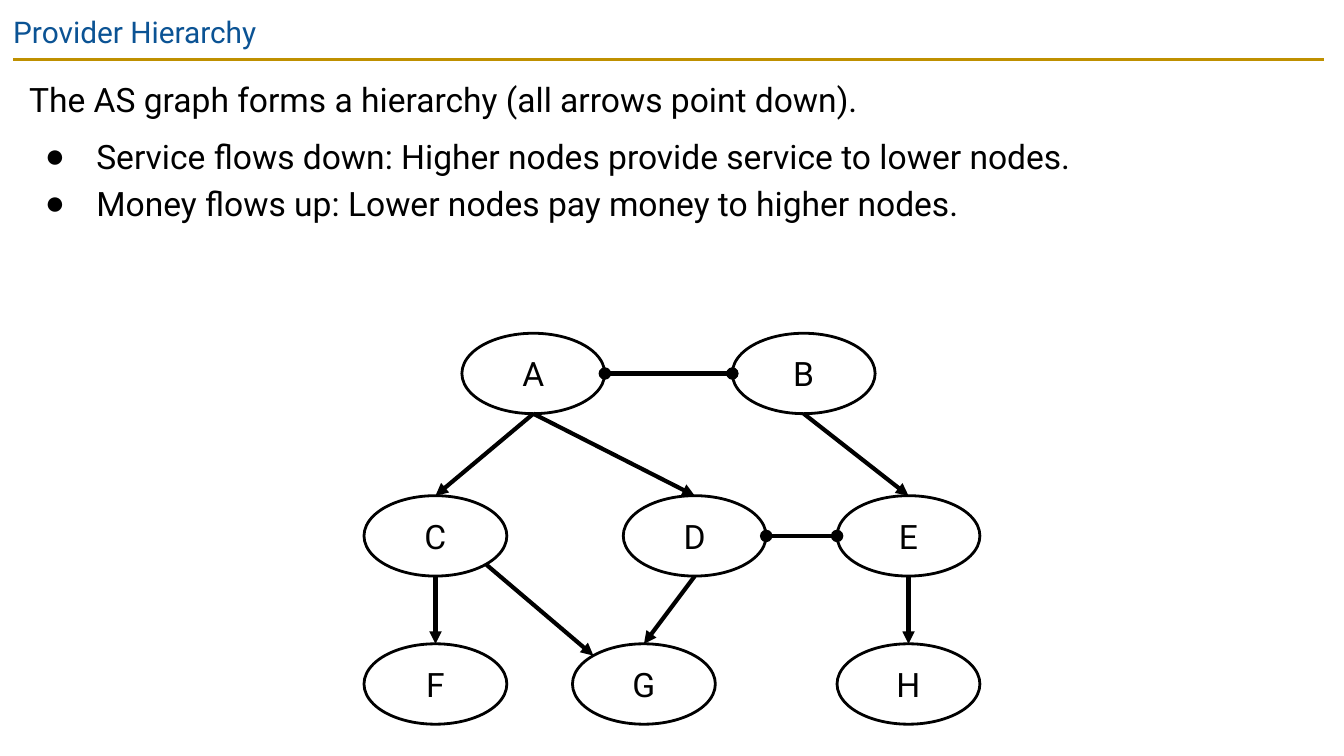
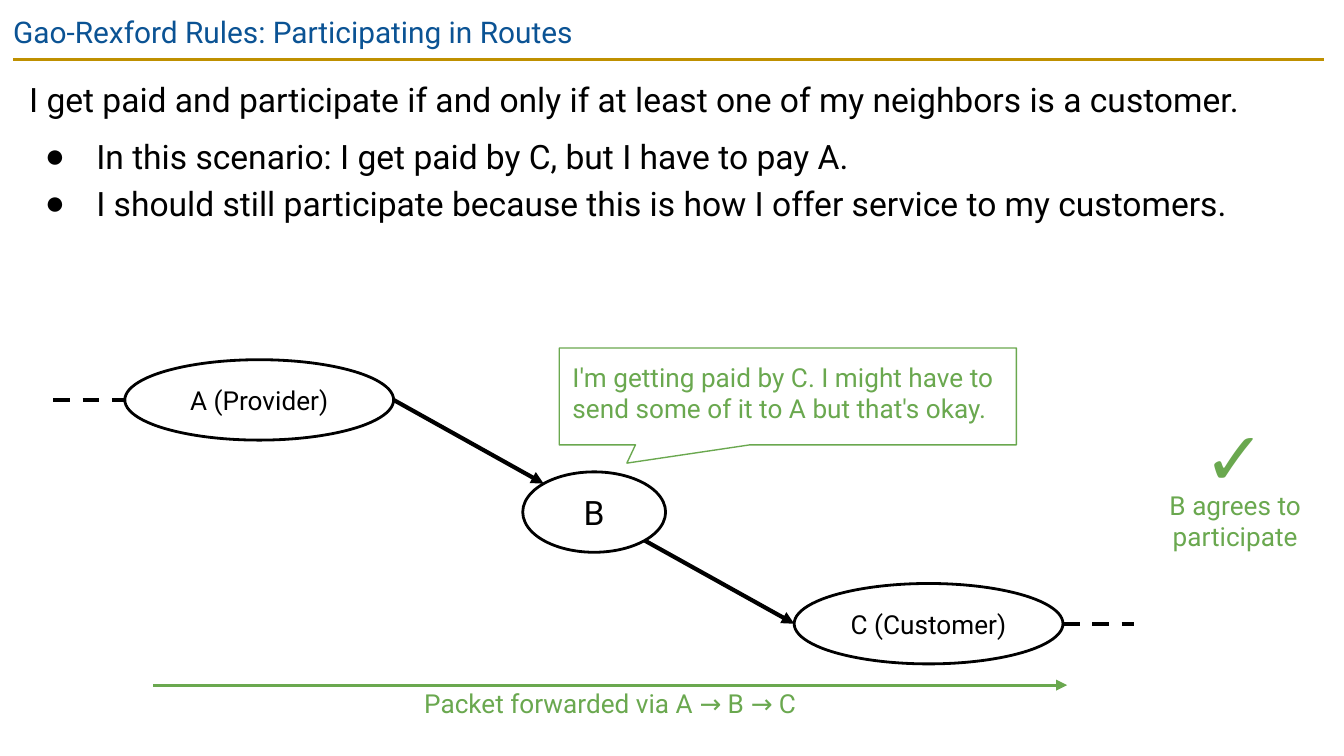
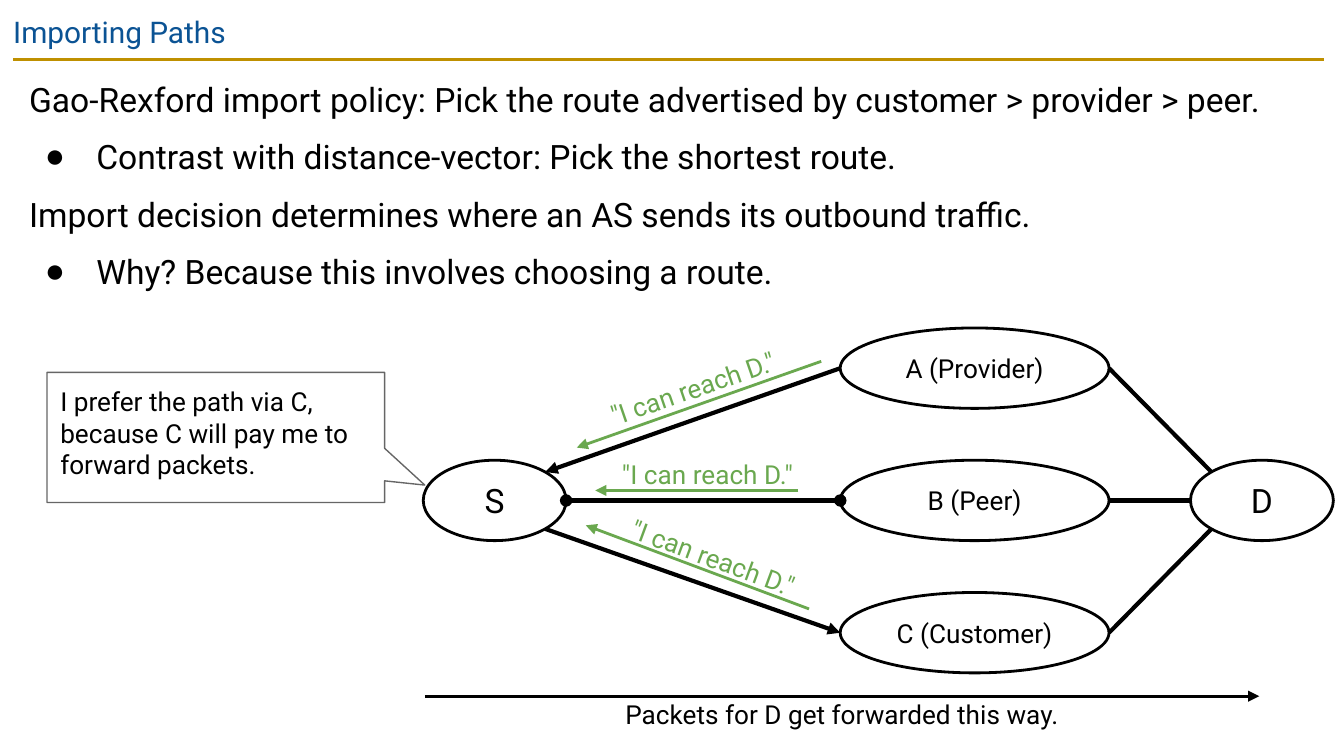
import dataclasses
import math
import typing

import lxml.etree
import pptx
import pptx.dml.color
import pptx.enum.dml
import pptx.enum.shapes
import pptx.enum.text
import pptx.oxml.ns
import pptx.util

Cm = pptx.util.Cm
Pt = pptx.util.Pt
qn = pptx.oxml.ns.qn
Align = pptx.enum.text.PP_ALIGN
Anchor = pptx.enum.text.MSO_ANCHOR
Preset = pptx.enum.shapes.MSO_SHAPE
Point = tuple[float, float]

BLACK, BLUE, GOLD, GREEN, GRAY = "000000", "0B5394", "BF9000", "6AA84F", "666666"
FONT = "Roboto"
SMALL, WIDE, HIGH = 2.7, 5.08, 1.52
LINE = 0.61
SITES = ["n", "nw", "w", "sw", "s", "se", "e", "ne"]


@dataclasses.dataclass
class Node:
    text: str
    x: float
    y: float
    wide: bool = False
    shape: typing.Any = None

    @property
    def width(self) -> float:
        return WIDE if self.wide else SMALL

    def site(self, side: str) -> Point:
        turn = math.radians(90 + 45 * SITES.index(side))
        return (self.x + self.width / 2 * math.cos(turn),
                self.y - HIGH / 2 * math.sin(turn))


class Link(typing.NamedTuple):
    start: str
    out: str
    end: str
    into: str
    head: str = "none"
    tail: str = "triangle"


class Advert(typing.NamedTuple):
    start: Point
    end: Point
    left: float
    top: float
    turn: float


def tint(code: str) -> pptx.dml.color.RGBColor:
    return pptx.dml.color.RGBColor.from_string(code)


def pad(frame, sides: float = 0.25, ends: float = 0.25, anchor=Anchor.TOP) -> None:
    frame.word_wrap = True
    frame.auto_size = pptx.enum.text.MSO_AUTO_SIZE.NONE
    frame.vertical_anchor = anchor
    frame.margin_left = frame.margin_right = Cm(sides)
    frame.margin_top = frame.margin_bottom = Cm(ends)


def write(para, text: str, *, size: float = 14, color: str = BLACK,
          font: str = FONT, align=Align.LEFT) -> None:
    para.alignment = align
    run = para.add_run()
    run.text = text
    run.font.size = Pt(size)
    run.font.name = font
    run.font.color.rgb = tint(color)


def place(shape, left: float, top: float, width: float, height: float) -> None:
    shape.left, shape.top = Cm(left), Cm(top)
    shape.width, shape.height = Cm(width), Cm(height)


def label(slide, text: str, left: float, top: float, width: float,
          height: float = LINE, turn: float = 0, sides: float = 0, **form) -> None:
    box = slide.shapes.add_textbox(Cm(left), Cm(top), Cm(width), Cm(height))
    box.rotation = turn
    pad(box.text_frame, sides, 0)
    write(box.text_frame.paragraphs[0], text, align=Align.CENTER, **form)


def outline(slide, kind, left: float, top: float, width: float, height: float,
            color: str, weight: float):
    shape = slide.shapes.add_shape(kind, Cm(left), Cm(top), Cm(width), Cm(height))
    shape.shadow.inherit = False
    shape.fill.background()
    shape.line.color.rgb = tint(color)
    shape.line.width = Pt(weight)
    return shape


def stroke(slide, start: Point, end: Point, color: str = BLACK, weight: float = 2.25,
           head: str = "none", tail: str = "none", dash: bool = False):
    line = slide.shapes.add_connector(
        pptx.enum.shapes.MSO_CONNECTOR.STRAIGHT, *map(Cm, start + end))
    line.line.color.rgb = tint(color)
    line.line.width = Pt(weight)
    if dash:
        line.line.dash_style = pptx.enum.dml.MSO_LINE.DASH
    props = line.element.spPr
    for tag, kind in (("a:headEnd", head), ("a:tailEnd", tail)):
        if kind != "none":
            lxml.etree.SubElement(props.get_or_add_ln(), qn(tag), type=kind)
    lxml.etree.SubElement(props, qn("a:effectLst"))
    return line


def glue(line, tag: str, node: Node, side: str) -> None:
    lxml.etree.SubElement(line.element.nvCxnSpPr.cNvCxnSpPr, qn(tag),
                          id=str(node.shape.shape_id), idx=str(SITES.index(side)))


def graph(slide, nodes: list[Node], links: list[Link]) -> dict[str, Node]:
    for node in nodes:
        node.shape = outline(slide, Preset.OVAL, node.x - node.width / 2,
                             node.y - HIGH / 2, node.width, HIGH, BLACK, 1.5)
        pad(node.shape.text_frame, anchor=Anchor.MIDDLE)
        write(node.shape.text_frame.paragraphs[0], node.text,
              size=14 if node.wide else 18, align=Align.CENTER)
    named = {node.text[0]: node for node in nodes}
    for link in links:
        start, end = named[link.start], named[link.end]
        line = stroke(slide, start.site(link.out), end.site(link.into),
                      head=link.head, tail=link.tail)
        glue(line, "a:stCxn", start, link.out)
        glue(line, "a:endCxn", end, link.into)
    return named


def speech(slide, text: str, left: float, top: float, width: float, height: float,
           tip: Point, edge: str, color: str) -> None:
    shape = outline(slide, Preset.ROUNDED_RECTANGULAR_CALLOUT,
                    left, top, width, height, edge, 0.75)
    for spot, value in enumerate((*tip, 0)):
        shape.adjustments[spot] = value
    pad(shape.text_frame)
    write(shape.text_frame.paragraphs[0], text, color=color)


def flow(slide, text: str, left: float, top: float, width: float, color: str) -> None:
    stroke(slide, (left, top), (left + width, top), color, 1.5, tail="triangle")
    label(slide, text, left, top + 0.05, width, color=color)


def mark(para, bullet: bool) -> None:
    props = para._p.get_or_add_pPr()
    props.set("marL", str(Cm(1.27) if bullet else 0))
    props.set("indent", str(Cm(-0.97) if bullet else 0))
    if bullet:
        hue = lxml.etree.SubElement(props, qn("a:buClr"))
        lxml.etree.SubElement(hue, qn("a:srgbClr"), val=BLACK)
        lxml.etree.SubElement(props, qn("a:buChar"), char="●")
    else:
        lxml.etree.SubElement(props, qn("a:buNone"))


def start(deck, title: str, height: float, lines: list[tuple[bool, str]]):
    slide = deck.slides.add_slide(deck.slide_layouts[1])
    stroke(slide, (0.25, 1.12), (25.02, 1.12), GOLD, 1.5)
    head, body = slide.placeholders
    place(head, 0, 0, 23.67, 1.09)
    pad(head.text_frame)
    write(head.text_frame.paragraphs[0], title, size=16, color=BLUE)
    place(body, 0.3, 1.12, 24.74, height)
    frame = body.text_frame
    pad(frame)
    last = None
    for bullet, text in lines:
        para = frame.paragraphs[0] if last is None else frame.add_paragraph()
        mark(para, bullet)
        para.line_spacing = 1.15
        para.space_before = Pt(0 if last is None or (bullet and last) else 6)
        write(para, text, size=18)
        last = bullet
    return slide


def ladder(deck) -> None:
    slide = start(deck, "Provider Hierarchy", 12.57, [
        (False, "The AS graph forms a hierarchy (all arrows point down)."),
        (True, "Service flows down: Higher nodes provide service to lower nodes."),
        (True, "Money flows up: Lower nodes pay money to higher nodes."),
    ])
    rows = [
        (7.06, {"A": 10.08, "B": 15.19}),
        (10.13, {"C": 8.23, "D": 13.13, "E": 17.17}),
        (12.93, {"F": 8.23, "G": 12.17, "H": 17.17}),
    ]
    nodes = [Node(name, x, y) for y, row in rows for name, x in row.items()]
    down = [Link(a, "s", b, "n") for a, b in ("AC", "AD", "CF", "DG", "EH", "BE")]
    peers = [Link(a, "e", b, "w", "oval", "oval") for a, b in ("AB", "DE")]
    graph(slide, nodes, down + peers + [Link("C", "se", "G", "nw")])


def routes(deck) -> None:
    slide = start(deck, "Gao-Rexford Rules: Participating in Routes", 6.91, [
        (False, "I get paid and participate if and only if at least one of my "
                "neighbors is a customer."),
        (True, "In this scenario: I get paid by C, but I have to pay A."),
        (True, "I should still participate because this is how I offer service "
               "to my customers."),
    ])
    named = graph(slide, [
        Node("A (Provider)", 4.9, 7.56, True),
        Node("B", 11.23, 9.68),
        Node("C (Customer)", 17.55, 11.79, True),
    ], [Link("A", "e", "B", "nw"), Link("B", "se", "C", "w")])
    for name, side, step in (("A", "w", -1.35), ("C", "e", 1.35)):
        x, y = named[name].site(side)
        ends = sorted([(x, y), (x + step, y)])
        line = stroke(slide, *ends, dash=True)
        glue(line, "a:endCxn" if step < 0 else "a:stCxn", named[name], side)
    flow(slide, "Packet forwarded via A → B → C", 2.9, 12.95, 17.27, GREEN)
    speech(slide, "I'm getting paid by C. I might have to send some of it to A "
           "but that's okay.", 10.57, 6.58, 8.64, 1.83, (-0.352, 0.689), GREEN, GREEN)
    label(slide, "✓", 22, 7.77, 2.69, 1.7, sides=0.25, size=40, color=GREEN, font="Arial")
    label(slide, "B agrees to participate", 22, 9.25, 2.69, 1.22, color=GREEN)


def imports(deck) -> None:
    slide = start(deck, "Importing Paths", 4.88, [
        (False, "Gao-Rexford import policy: Pick the route advertised by "
                "customer > provider > peer."),
        (True, "Contrast with distance-vector: Pick the shortest route."),
        (False, "Import decision determines where an AS sends its outbound traffic."),
        (True, "Why? Because this involves choosing a route."),
    ])
    mid, gap = 9.46, 2.5
    names = ["A (Provider)", "B (Peer)", "C (Customer)"]
    nodes = [Node(name, 18.42, mid + gap * (row - 1), True)
             for row, name in enumerate(names)]
    graph(slide, nodes + [Node("S", 9.35, mid), Node("D", 23.85, mid)], [
        Link("S", "e", "B", "w", "oval", "oval"),
        Link("A", "w", "S", "ne"),
        Link("S", "se", "C", "w"),
        *(Link("D", side, name, "e", tail="none")
          for side, name in (("nw", "A"), ("w", "B"), ("sw", "C"))),
    ])
    for ad in (
        Advert((15.52, 6.83), (10.9, 8.46), 11.15, 7.04, 341),
        Advert((15.09, 9.27), (11.25, 9.27), 11.43, 8.66, 0),
        Advert((15.29, 11.51), (11.07, 9.93), 11.53, 10.24, 20.2),
    ):
        stroke(slide, ad.start, ad.end, GREEN, 1.5, tail="triangle")
        label(slide, '"I can reach D."', ad.left, ad.top, 3.89, turn=ad.turn, color=GREEN)
    speech(slide, "I prefer the path via C, because C will pay me to forward packets.",
           0.89, 7.04, 6.38, 2.46, (0.619, 0.366), GRAY, BLACK)
    flow(slide, "Packets for D get forwarded this way.", 8.03, 13.16, 15.77, BLACK)


def main() -> None:
    deck = pptx.Presentation()
    deck.slide_width, deck.slide_height = Cm(25.4), Cm(14.29)
    for build in (ladder, routes, imports):
        build(deck)
    deck.save("out.pptx")


if __name__ == "__main__":
    main()
